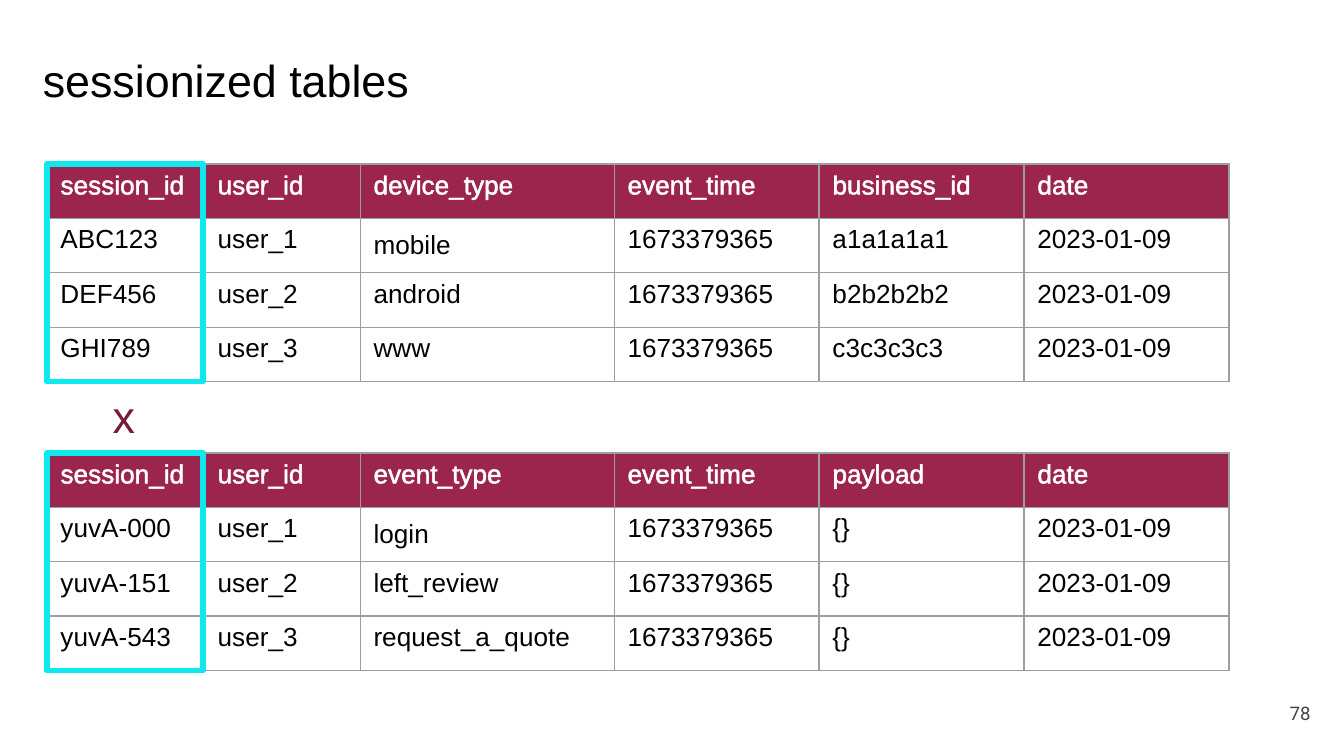
from dataclasses import dataclass

from lxml.etree import SubElement
from pptx import Presentation
from pptx.dml.color import RGBColor
from pptx.enum.shapes import MSO_SHAPE
from pptx.enum.text import MSO_ANCHOR, MSO_AUTO_SIZE, PP_ALIGN
from pptx.oxml.ns import qn
from pptx.util import Pt

PX = 4572
COLORS = {
    "header": "9C254D",
    "border": "9E9E9E",
    "highlight": "0EE9F0",
    "join": "751C3A",
    "white": "FFFFFF",
    "black": "000000",
    "gray": "434343",
}
COLUMN_WIDTHS = (234, 232, 378, 305, 305, 305)
ROW_HEIGHT = 81
TABLE_LEFT = 70
EVENT_TIME = "1673379365"
DATE = "2023-01-09"
TABLE_FORMAT = {"first_row": False, "horz_banding": False}
CELL_FORMAT = {
    "margin_left": 20 * PX,
    "margin_right": 20 * PX,
    "margin_top": 10 * PX,
    "margin_bottom": 10 * PX,
}


@dataclass(frozen=True)
class Session:
    session_id: str
    kind: str
    detail: str


@dataclass(frozen=True)
class SessionTable:
    top: int
    kind_heading: str
    detail_heading: str
    sessions: tuple[Session, ...]

    def rows(self) -> list[tuple[str, ...]]:
        heading = ("session_id", "user_id", self.kind_heading,
                   "event_time", self.detail_heading, "date")
        return [heading] + [
            (session.session_id, f"user_{number}", session.kind,
             EVENT_TIME, session.detail, DATE)
            for number, session in enumerate(self.sessions, 1)
        ]


@dataclass(frozen=True)
class Label:
    text: str
    box: tuple[int, int, int, int]
    size: int
    color: str
    font: str = "Arial"
    align: PP_ALIGN = PP_ALIGN.LEFT
    anchor: MSO_ANCHOR = MSO_ANCHOR.TOP
    inset: int = 10
    wrap: bool = False
    fit: MSO_AUTO_SIZE = MSO_AUTO_SIZE.SHAPE_TO_FIT_TEXT


TABLES = (
    SessionTable(244, "device_type", "business_id", (
        Session("ABC123", "mobile", "a1a1a1a1"),
        Session("DEF456", "android", "b2b2b2b2"),
        Session("GHI789", "www", "c3c3c3c3"),
    )),
    SessionTable(674, "event_type", "payload", (
        Session("yuvA-000", "login", "{}"),
        Session("yuvA-151", "left_review", "{}"),
        Session("yuvA-543", "request_a_quote", "{}"),
    )),
)
LABELS = (
    Label("sessionized tables", (44, 68, 592, 100), 24, "black"),
    Label("x", (148, 568, 74, 100), 24, "join"),
    Label("78", (1850, 1018, 120, 86), 10, "gray", "Roboto", PP_ALIGN.RIGHT,
          MSO_ANCHOR.MIDDLE, 20, True, MSO_AUTO_SIZE.NONE),
)


def rgb(color: str) -> RGBColor:
    return RGBColor.from_string(COLORS[color])


def apply_format(target, values: dict) -> None:
    for attribute, value in values.items():
        setattr(target, attribute, value)


def write_text(paragraph, text: str, size: int, color: str, font: str):
    run = paragraph.add_run()
    run.text = text
    apply_format(run.font, {"size": Pt(size), "name": font})
    run.font.color.rgb = rgb(color)
    return run


def add_solid_line(properties, tag: str, color: str):
    line = SubElement(properties, qn(tag), w=str(Pt(0.75)))
    fill = SubElement(line, qn("a:solidFill"))
    SubElement(fill, qn("a:srgbClr"), val=COLORS[color])
    return line


def draw_cell(cell, text: str, is_header: bool) -> None:
    apply_format(cell, CELL_FORMAT)
    color = "white" if is_header else "black"
    run = write_text(cell.text_frame.paragraphs[0], text, 14, color, "Arial")
    properties = cell._tc.get_or_add_tcPr()
    for edge in ("a:lnL", "a:lnR", "a:lnT", "a:lnB"):
        add_solid_line(properties, edge, "border")
    if is_header:
        cell.fill.solid()
        cell.fill.fore_color.rgb = rgb("header")
        run_properties = run._r.get_or_add_rPr()
        run_properties.insert(0, add_solid_line(run_properties, "a:ln", "white"))
    else:
        cell.fill.background()


def draw_highlight(slide, top: int, height: int) -> None:
    frame = slide.shapes.add_shape(
        MSO_SHAPE.RECTANGLE, TABLE_LEFT * PX, top * PX,
        COLUMN_WIDTHS[1] * PX, height * PX)
    frame.shadow.inherit = False
    frame.fill.background()
    frame.line.color.rgb = rgb("highlight")
    frame.line.width = Pt(3)
    SubElement(frame.line._get_or_add_ln(), qn("a:round"))


def draw_session_table(slide, content: SessionTable) -> None:
    rows = content.rows()
    height = ROW_HEIGHT * len(rows)
    table = slide.shapes.add_table(
        len(rows), len(COLUMN_WIDTHS), TABLE_LEFT * PX, content.top * PX,
        sum(COLUMN_WIDTHS) * PX, height * PX).table
    apply_format(table, TABLE_FORMAT)
    for column, width in zip(table.columns, COLUMN_WIDTHS):
        column.width = width * PX
    for row_index, texts in enumerate(rows):
        table.rows[row_index].height = ROW_HEIGHT * PX
        for column_index, text in enumerate(texts):
            draw_cell(table.cell(row_index, column_index), text, row_index == 0)
    table.cell(1, 2).vertical_anchor = MSO_ANCHOR.MIDDLE
    draw_highlight(slide, content.top, height)


def draw_label(slide, label: Label) -> None:
    frame = slide.shapes.add_textbox(*(length * PX for length in label.box)).text_frame
    apply_format(frame, {
        "word_wrap": label.wrap,
        "auto_size": label.fit,
        "vertical_anchor": label.anchor,
        "margin_left": 20 * PX,
        "margin_right": 20 * PX,
        "margin_top": label.inset * PX,
        "margin_bottom": label.inset * PX,
    })
    paragraph = frame.paragraphs[0]
    paragraph.alignment = label.align
    write_text(paragraph, label.text, label.size, label.color, label.font)


def main() -> None:
    presentation = Presentation()
    apply_format(presentation, {"slide_width": 2000 * PX, "slide_height": 1125 * PX})
    slide = presentation.slides.add_slide(presentation.slide_layouts[6])
    for content in TABLES:
        draw_session_table(slide, content)
    for label in LABELS:
        draw_label(slide, label)
    presentation.save("out.pptx")


if __name__ == "__main__":
    main()
